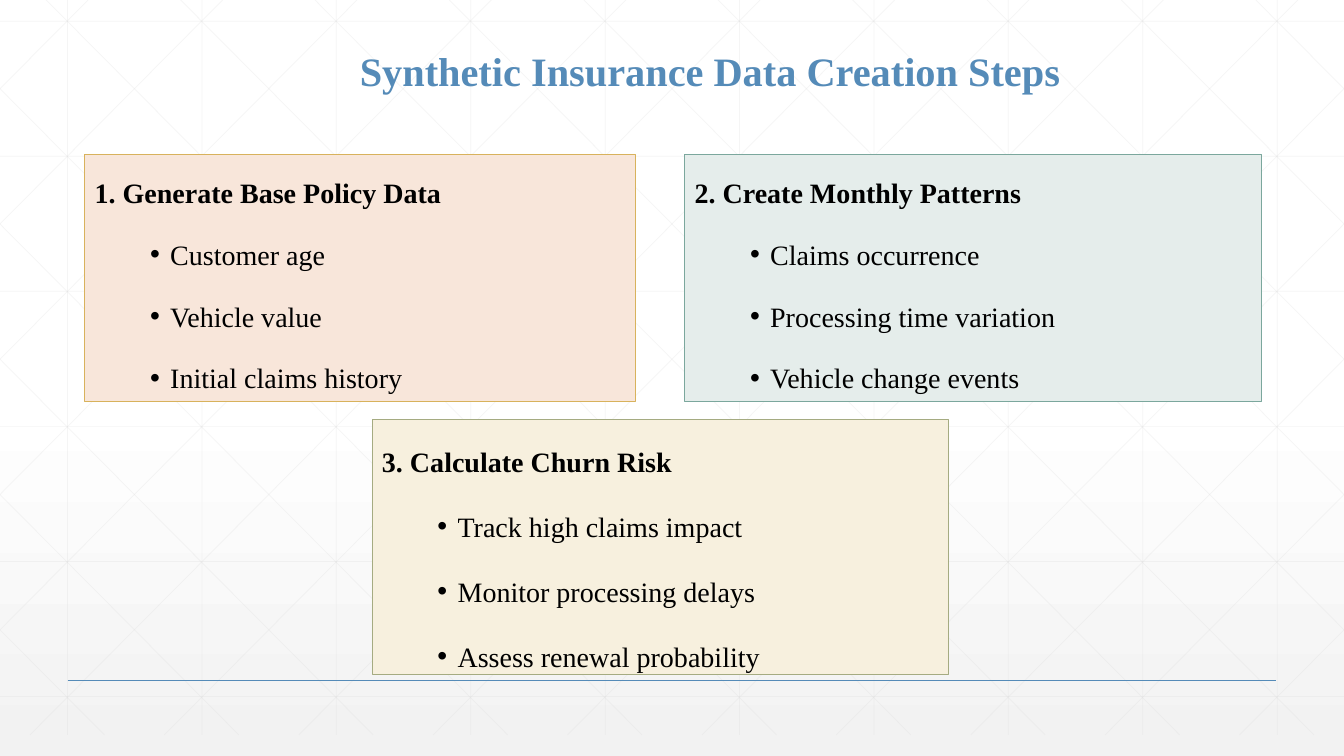
"""Build a slide with three cards on the steps of creating synthetic insurance data."""
from pptx import Presentation
from pptx.dml.color import RGBColor
from pptx.enum.shapes import MSO_CONNECTOR, MSO_SHAPE
from pptx.enum.text import MSO_ANCHOR, PP_ALIGN
from pptx.oxml.ns import qn
from pptx.util import Inches, Pt
from lxml import etree

STRAIGHT = MSO_CONNECTOR.STRAIGHT
RECTANGLE = MSO_SHAPE.RECTANGLE
TOP, BOTTOM = MSO_ANCHOR.TOP, MSO_ANCHOR.BOTTOM
LEFT = PP_ALIGN.LEFT

TITLE = "Synthetic Insurance Data Creation Steps"
CARDS = [
    {"heading": "1. Generate Base Policy Data",
     "bullets": ["Customer age", "Vehicle value", "Initial claims history"],
     "box": (0.84, 1.53, 5.46, 2.45), "fill": "peach", "line": "gold", "spacing": 1.5},
    {"heading": "2. Create Monthly Patterns",
     "bullets": ["Claims occurrence", "Processing time variation", "Vehicle change events"],
     "box": (6.79, 1.53, 5.72, 2.45), "fill": "mint", "line": "teal", "spacing": 1.5},
    {"heading": "3. Calculate Churn Risk",
     "bullets": ["Track high claims impact", "Monitor processing delays",
                 "Assess renewal probability"],
     "box": (3.69, 4.16, 5.72, 2.53), "fill": "cream", "line": "olive", "spacing": 1.6},
]
COLORS = {
    "white": "FFFFFF", "mist": "F2F2F2", "grid": "D9D9D9", "blue": "558BB8", "black": "000000",
    "peach": "F8E6DA", "gold": "D8B25C", "mint": "E5EDEB", "teal": "7BA79D",
    "cream": "F7F0DE", "olive": "A5AB81",
}
FONT = "Times New Roman"
WIDTH, HEIGHT = 13.33, 7.5
TITLE_BOX = (3.47, 0.38, 7.2, 0.61)
COLUMN_STEP, ROW_STEP = WIDTH / 10, 1.34
COLUMN_START, ROW_START = 0.67, 0.21
GRID_TOP, GRID_BOTTOM = -0.21, 7.29
DIAGONAL_START, DIAGONAL_RUN = 0.25, 7.45
RULE_Y = 6.75


def color(name):
    return RGBColor.from_string(COLORS[name])


def add_line(slide, start, end, name, width, opacity=None):
    line = slide.shapes.add_connector(STRAIGHT, *(Inches(value) for value in (*start, *end)))
    line.line.color.rgb = color(name)
    line.line.width = Pt(width)
    properties = line._element.spPr
    etree.SubElement(properties, qn("a:effectLst"))
    if opacity is not None:
        shade = properties.find(".//" + qn("a:srgbClr"))
        etree.SubElement(shade, qn("a:alpha"), val=str(opacity * 1000))


def add_text(paragraph, text, size=20, name="black", bold=False, spacing=1.0, before=0,
             bullet=False):
    paragraph.alignment = LEFT
    paragraph.line_spacing = spacing
    paragraph.space_before = Pt(before)
    run = paragraph.add_run()
    run.text = text
    run.font.name = FONT
    run.font.size = Pt(size)
    run.font.bold = bold
    run.font.color.rgb = color(name)
    if bullet:
        properties = paragraph._p.get_or_add_pPr()
        properties.set("marL", str(Inches(0.75)))
        properties.set("indent", str(Inches(-0.2)))
        bullet_color = etree.SubElement(properties, qn("a:buClr"))
        etree.SubElement(bullet_color, qn("a:srgbClr"), val=COLORS[name])
        etree.SubElement(properties, qn("a:buFont"), typeface="Arial")
        etree.SubElement(properties, qn("a:buChar"), char="•")


def add_background(slide):
    fill = slide.background.fill
    fill.gradient()
    fill.gradient_angle = 270
    for stop, name, position in zip(fill.gradient_stops, ("white", "mist"), (0.53, 1.0)):
        stop.color.rgb = color(name)
        stop.position = position


def add_grid(slide):
    lines = []
    for column in range(10):
        x = COLUMN_START + column * COLUMN_STEP
        lines.append(((x, 0), (x, GRID_BOTTOM)))
    for row in range(6):
        y = ROW_START + row * ROW_STEP
        lines.append(((0, y), (WIDTH, y)))
    rise = GRID_BOTTOM - GRID_TOP
    for step in range(-5, 10):
        origin = DIAGONAL_START + step * COLUMN_STEP
        first = max(-GRID_TOP / rise, -origin / DIAGONAL_RUN)
        last = min(1, (WIDTH - origin) / DIAGONAL_RUN)
        start, end = ((origin + share * DIAGONAL_RUN, GRID_TOP + share * rise)
                      for share in (first, last))
        lines.append((start, end))
        lines.append(((WIDTH - start[0], start[1]), (WIDTH - end[0], end[1])))
    for start, end in lines:
        add_line(slide, start, end, "grid", 0.5, opacity=25)


def add_title(slide):
    frame = slide.shapes.add_textbox(*(Inches(value) for value in TITLE_BOX)).text_frame
    frame.word_wrap = True
    frame.vertical_anchor = BOTTOM
    add_text(frame.paragraphs[0], TITLE, size=28.8, name="blue", bold=True, spacing=0.9)


def add_card(slide, card):
    shape = slide.shapes.add_shape(RECTANGLE, *(Inches(value) for value in card["box"]))
    shape.shadow.inherit = False
    shape.fill.solid()
    shape.fill.fore_color.rgb = color(card["fill"])
    shape.line.color.rgb = color(card["line"])
    shape.line.width = Pt(0.5)
    frame = shape.text_frame
    frame.word_wrap = True
    frame.vertical_anchor = TOP
    add_text(frame.paragraphs[0], card["heading"], bold=True, spacing=card["spacing"], before=18)
    for bullet in card["bullets"]:
        add_text(frame.add_paragraph(), bullet, spacing=card["spacing"], before=8, bullet=True)


def main():
    presentation = Presentation()
    presentation.slide_width = Inches(WIDTH)
    presentation.slide_height = Inches(HEIGHT)
    slide = presentation.slides.add_slide(presentation.slide_layouts[6])
    add_background(slide)
    add_grid(slide)
    add_line(slide, (COLUMN_START, RULE_Y), (WIDTH - COLUMN_START, RULE_Y), "blue", 1)
    add_title(slide)
    for card in CARDS:
        add_card(slide, card)
    presentation.save("out.pptx")


if __name__ == "__main__":
    main()
